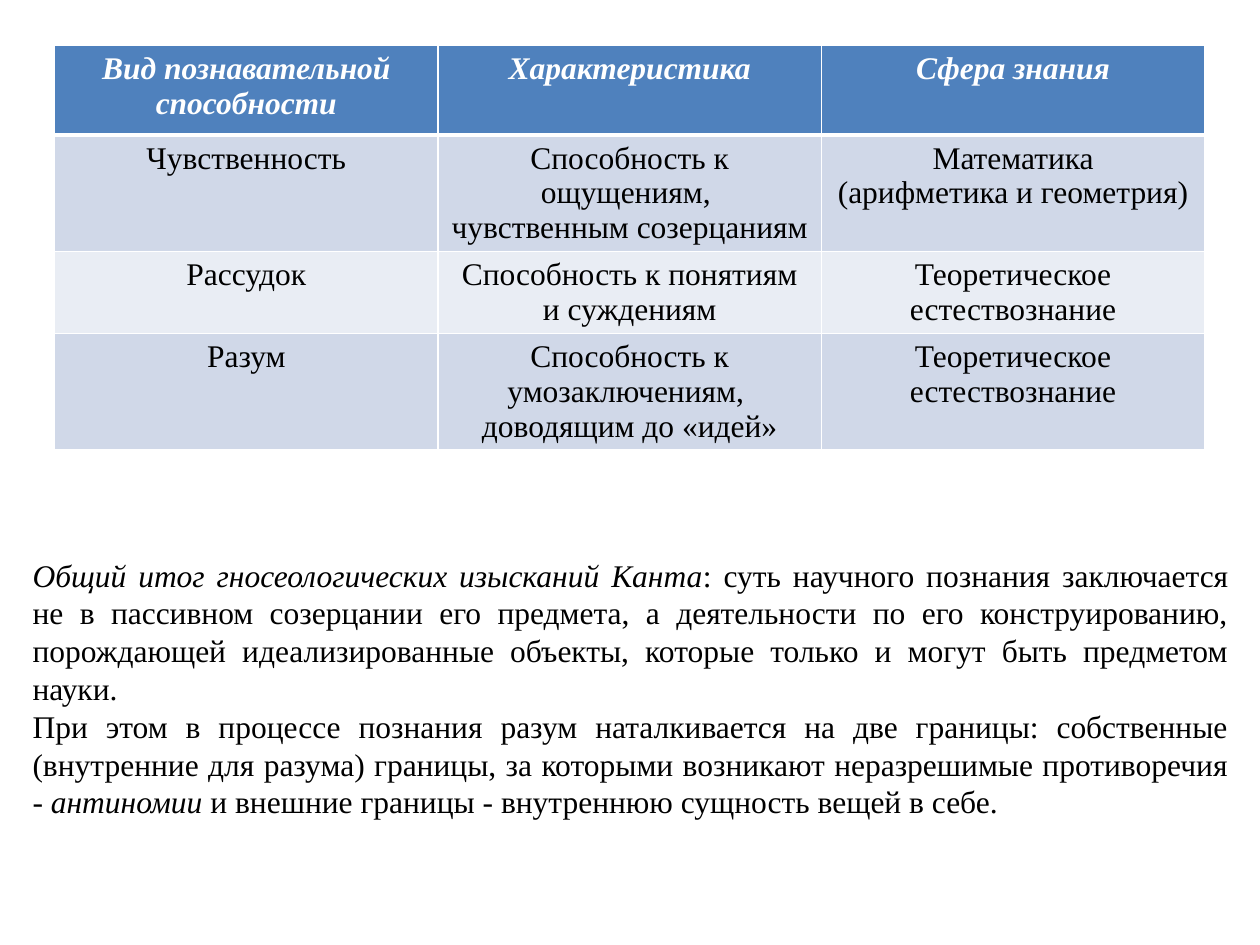
from lxml import etree
from pptx import Presentation
from pptx.dml.color import RGBColor
from pptx.enum import text
from pptx.oxml import ns
from pptx.util import Pt

WHITE = RGBColor(0xFF, 0xFF, 0xFF)
BLACK = RGBColor(0x00, 0x00, 0x00)
HEADER_BLUE = RGBColor(0x4F, 0x81, 0xBD)
BAND_DARK = RGBColor(0xD0, 0xD8, 0xE8)
BAND_LIGHT = RGBColor(0xE9, 0xED, 0xF4)

ABILITIES = [
    ["Вид познавательной\nспособности", "Характеристика", "Сфера знания"],
    ["Чувственность", "Способность к ощущениям, \nчувственным созерцаниям",
     "Математика\n(арифметика и геометрия)"],
    ["Рассудок", "Способность к понятиям и суждениям", "Теоретическое естествознание"],
    ["Разум", "Способность к умозаключениям, \nдоводящим до «идей»",
     "Теоретическое естествознание"],
]
ROW_HEIGHTS = [51.1, 66.6, 46.8, 66.6]

# Each paragraph is a list of (wording, italic) pairs.
CONCLUSION = [
    [("Общий итог гносеологических изысканий Канта", True),
     (": суть научного познания заключается не в пассивном созерцании его предмета, "
      "а деятельности по его конструированию, порождающей идеализированные объекты, "
      "которые только и могут быть предметом науки.", False)],
    [("При этом в процессе познания разум наталкивается на две границы: собственные "
      "(внутренние для разума) границы, за которыми возникают неразрешимые "
      "противоречия - ", False),
     ("антиномии", True),
     (" и внешние границы - внутреннюю сущность вещей в себе.", False)],
]


def write(frame, paragraphs, *, align, leading, font, size=18, color=BLACK, bold=False):
    """Fill a text frame with paragraphs of (wording, italic) pairs."""
    for index, pieces in enumerate(paragraphs):
        paragraph = frame.add_paragraph() if index else frame.paragraphs[0]
        paragraph.alignment = align
        paragraph.line_spacing = Pt(leading)
        for wording, italic in pieces:
            run = paragraph.add_run()
            run.text = wording
            run.font.name = font
            run.font.size = Pt(size)
            run.font.color.rgb = color
            run.font.bold = bold
            run.font.italic = italic


def draw_borders(cell, bottom):
    """Give a cell white borders, 1 pt wide except for the bottom one."""
    properties = cell._tc.get_or_add_tcPr()
    for side, width in (("L", 1), ("R", 1), ("T", 1), ("B", bottom)):
        line = etree.SubElement(properties, ns.qn(f"a:ln{side}"), w=str(Pt(width)))
        fill = etree.SubElement(line, ns.qn("a:solidFill"))
        etree.SubElement(fill, ns.qn("a:srgbClr"), val=str(WHITE))


class KantSlide:
    font = "Times New Roman"

    def __init__(self, presentation):
        self.slide = presentation.slides.add_slide(presentation.slide_layouts[6])

    def table(self, rows, left, top, column_width, heights):
        columns = len(rows[0])
        table = self.slide.shapes.add_table(
            len(rows), columns, Pt(left), Pt(top),
            Pt(column_width * columns), Pt(sum(heights))).table
        for column in table.columns:
            column.width = Pt(column_width)
        for r, (row, height) in enumerate(zip(rows, heights)):
            table.rows[r].height = Pt(height)
            header = r == 0
            band = HEADER_BLUE if header else BAND_DARK if r % 2 else BAND_LIGHT
            for c, wording in enumerate(row):
                cell = table.cell(r, c)
                draw_borders(cell, bottom=3 if header else 1)
                cell.fill.solid()
                cell.fill.fore_color.rgb = band
                write(cell.text_frame,
                      [[(line, header)] for line in wording.split("\n")],
                      align=text.PP_ALIGN.CENTER, leading=19.8, font=self.font,
                      color=WHITE if header else BLACK, bold=header)

    def text_box(self, paragraphs, left, top, width, height):
        frame = self.slide.shapes.add_textbox(
            Pt(left), Pt(top), Pt(width), Pt(height)).text_frame
        frame.word_wrap = True
        write(frame, paragraphs, align=text.PP_ALIGN.JUSTIFY, leading=21.6, font=self.font)


def main():
    presentation = Presentation()
    presentation.slide_width, presentation.slide_height = Pt(720), Pt(540)
    slide = KantSlide(presentation)
    slide.text_box(CONCLUSION, 11.5, 314, 697.7, 209.4)
    slide.table(ABILITIES, 31.2, 26, 219.1, ROW_HEIGHTS)
    presentation.save("out.pptx")


if __name__ == "__main__":
    main()
